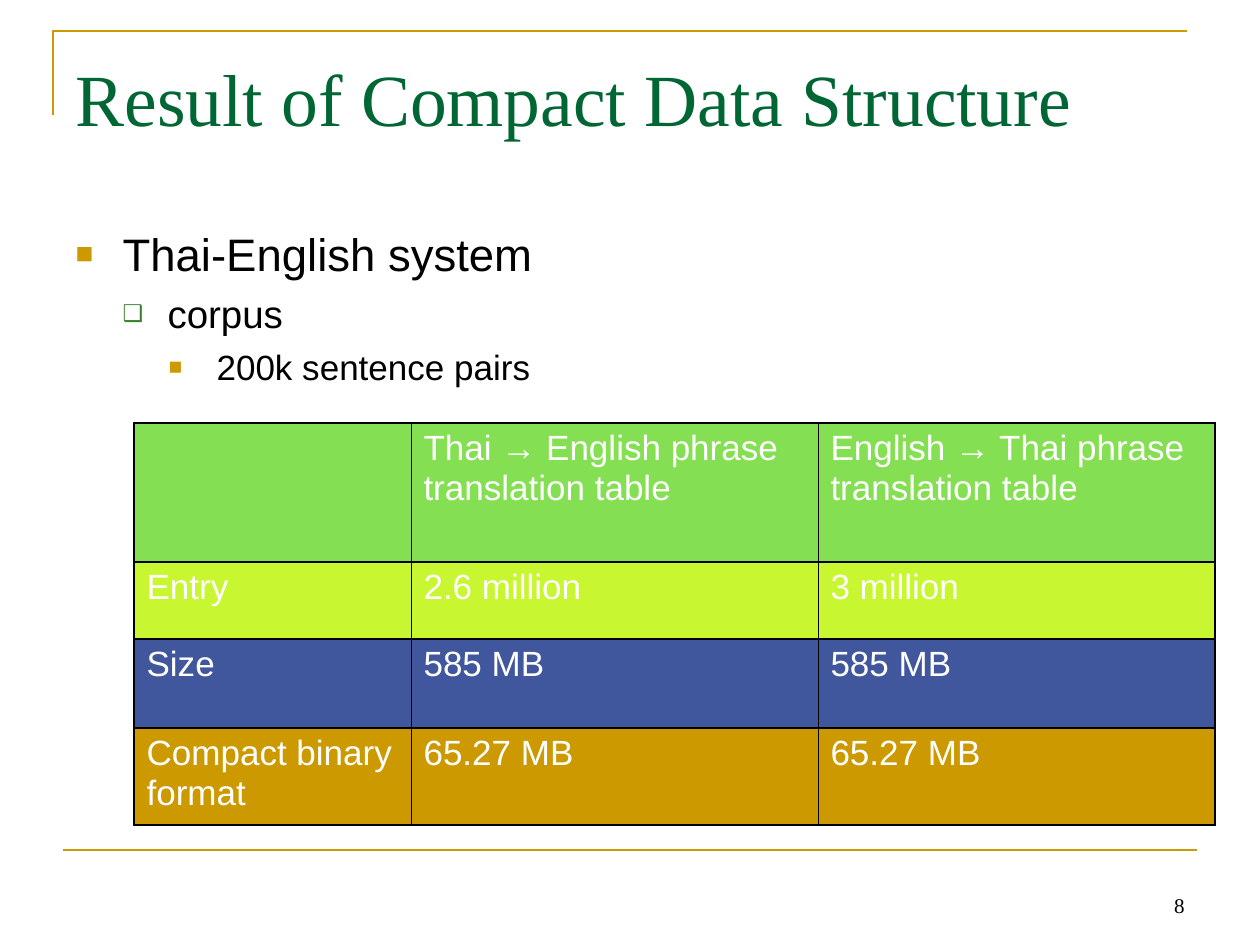
import pptx
import pptx.dml.color
import pptx.enum.shapes
import pptx.enum.text
import pptx.oxml.ns
import pptx.util
from lxml import etree

RGB = pptx.dml.color.RGBColor
GOLD = RGB(0xCC, 0x99, 0x00)
PINE = RGB(0x00, 0x66, 0x33)
LEAF = RGB(0x3B, 0x81, 0x2F)
GREEN = RGB(0x85, 0xDF, 0x53)
LIME = RGB(0xC8, 0xF7, 0x31)
BLUE = RGB(0x41, 0x57, 0x9D)
BLACK = RGB(0, 0, 0)
WHITE = RGB(0xFF, 0xFF, 0xFF)

SANS, SERIF = "Arial", "Times New Roman"
ALIGN = pptx.enum.text.PP_ALIGN
ANCHOR = pptx.enum.text.MSO_ANCHOR
SCALE = pptx.util.Inches(1) / 126

# text, size, space before, left margin, hang, bullet, its colour, its percent
ITEMS = [
    ("Thai-English system", 26, 0, 47, 47, "■", GOLD, 65),
    ("corpus", 22, 5.5, 92, 45, "❑", LEAF, 60),
    ("200k sentence pairs", 20, 5, 141, 48, "■", GOLD, 65),
]
COLS = [277, 407, 397]
ROWS = [
    (139, GREEN, ["", "Thai → English phrase translation table",
                  "English → Thai phrase translation table"]),
    (77, LIME, ["Entry", "2.6 million", "3 million"]),
    (89, BLUE, ["Size", "585 MB", "585 MB"]),
    (97, GOLD, ["Compact binary format", "65.27 MB", "65.27 MB"]),
]


def px(n):
    return pptx.util.Emu(round(n * SCALE))


def node(up, tag, **attrs):
    """Add a DrawingML child element."""
    return etree.SubElement(up, pptx.oxml.ns.qn("a:" + tag), attrs)


def place(shape, box):
    shape.left, shape.top, shape.width, shape.height = map(px, box)


def write(para, text, size, font=SANS, color=BLACK, align=ALIGN.LEFT, before=0):
    para.alignment = align
    para.space_before = pptx.util.Pt(before)
    run = para.add_run()
    run.text = text
    run.font.size = pptx.util.Pt(size)
    run.font.name = font
    run.font.color.rgb = color


def frame(shape, anchor):
    text = shape.text_frame
    text.word_wrap = True
    text.auto_size = pptx.enum.text.MSO_AUTO_SIZE.NONE
    text.vertical_anchor = anchor
    return text


def stroke(shape):
    shape.line.color.rgb = GOLD
    shape.line.width = pptx.util.Pt(1.5)


def corner(slide, box):
    x, y, w, h = box
    path = slide.shapes.build_freeform(px(x), px(y + h))
    path.add_line_segments([(px(x), px(y)), (px(x + w), px(y))], close=False)
    shape = path.convert_to_shape()
    shape.shadow.inherit = False
    shape.fill.background()
    stroke(shape)


def rule(slide, box):
    x, y, w, h = box
    kind = pptx.enum.shapes.MSO_CONNECTOR.STRAIGHT
    line = slide.shapes.add_connector(kind, px(x), px(y), px(x + w), px(y + h))
    stroke(line)
    node(line._element.spPr, "effectLst")


def title(slide, box):
    shape = slide.shapes.title
    place(shape, box)
    text = frame(shape, ANCHOR.TOP)
    text.margin_top = px(15)
    write(text.paragraphs[0], "Result of Compact Data Structure", 42,
          font=SERIF, color=PINE)


def bullet(para, left, hang, mark, color, size):
    props = para._p.get_or_add_pPr()
    props.set("marL", str(px(left)))
    props.set("indent", str(-px(hang)))
    node(node(props, "buClr"), "srgbClr", val=str(color))
    node(props, "buSzPct", val=str(size * 1000))
    node(props, "buFont", typeface=SANS)
    node(props, "buChar", char=mark)


def body(slide, box):
    shape = slide.placeholders[1]
    place(shape, box)
    text = frame(shape, ANCHOR.TOP)
    for level, (words, size, before, *mark) in enumerate(ITEMS):
        para = text.add_paragraph() if level else text.paragraphs[0]
        para.level = level
        bullet(para, *mark)
        write(para, words, size, before=before)


def border(cell, side, width):
    props = cell._tc.get_or_add_tcPr()
    line = node(props, "ln" + side, w=str(pptx.util.Pt(width)))
    node(node(line, "solidFill"), "srgbClr", val=str(BLACK))


def table(slide, box):
    shape = slide.shapes.add_table(len(ROWS), len(COLS), *map(px, box))
    grid = shape.table
    grid.first_row = grid.horz_banding = False
    for col, width in zip(grid.columns, COLS):
        col.width = px(width)
    last = len(COLS) - 1
    for r, (height, color, words) in enumerate(ROWS):
        grid.rows[r].height = px(height)
        for c, word in enumerate(words):
            cell = grid.cell(r, c)
            border(cell, "L", 0.45 if c else 1.08)
            border(cell, "R", 0.45 if c < last else 1.08)
            border(cell, "T", 1.08)
            border(cell, "B", 1.08)
            cell.fill.solid()
            cell.fill.fore_color.rgb = color
            if word:
                write(cell.text_frame.paragraphs[0], word, 20, color=WHITE)


def number(slide, box):
    shape = slide.shapes.add_textbox(*map(px, box))
    text = frame(shape, ANCHOR.BOTTOM)
    write(text.paragraphs[0], "8", 12, font=SERIF, align=ALIGN.RIGHT)


def main():
    deck = pptx.Presentation()
    deck.slide_width, deck.slide_height = px(1260), px(945)
    slide = deck.slides.add_slide(deck.slide_layouts[1])
    corner(slide, (53, 31, 1134, 84))
    rule(slide, (63, 850, 1134, 0))
    title(slide, (63, 38, 1134, 157))
    body(slide, (63, 220, 557, 624))
    table(slide, (134, 423, sum(COLS), sum(row[0] for row in ROWS)))
    number(slide, (903, 861, 294, 63))
    deck.save("out.pptx")


if __name__ == "__main__":
    main()
